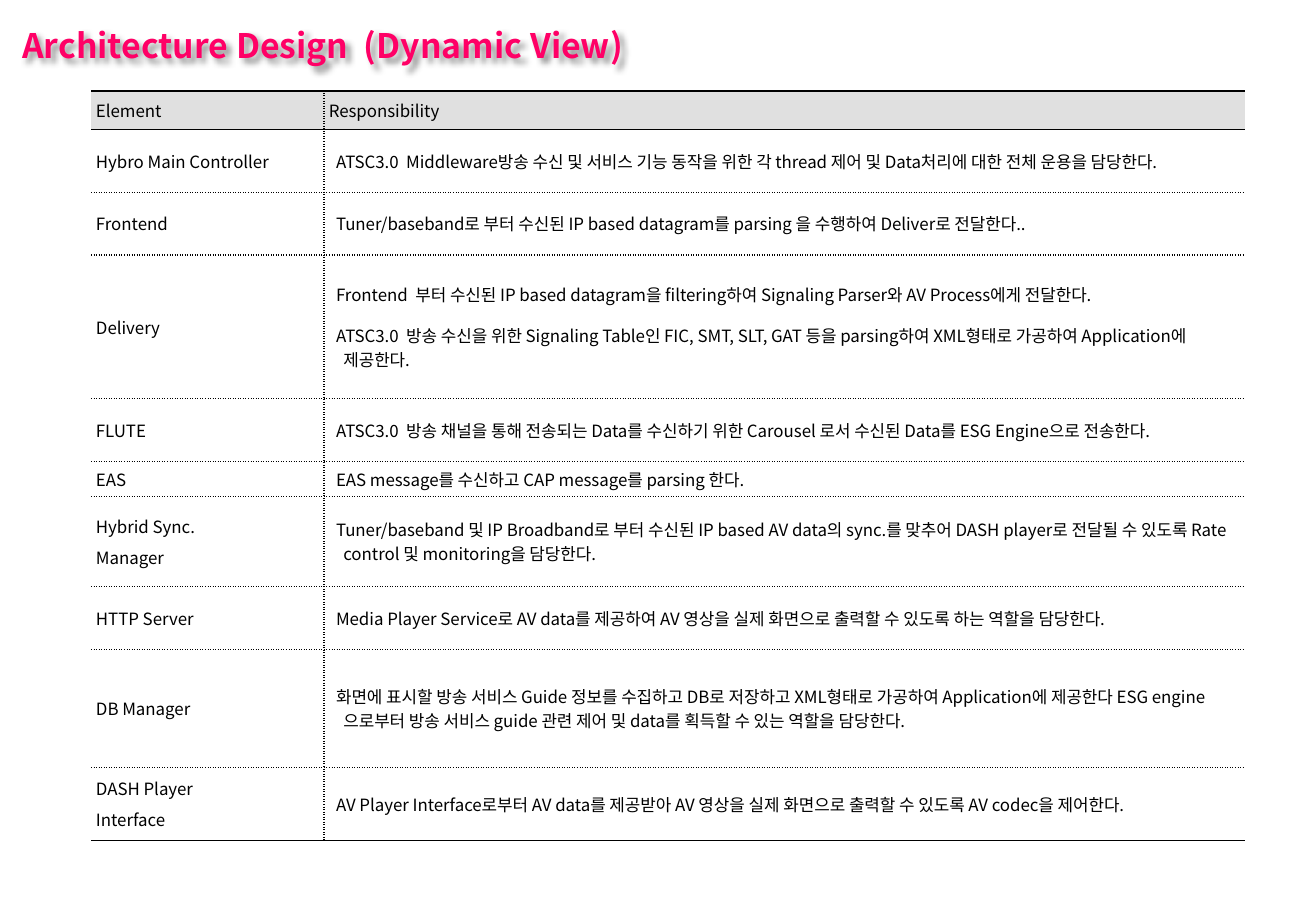
from lxml.etree import SubElement
from pptx import Presentation
from pptx.dml.color import RGBColor
from pptx.enum.text import MSO_ANCHOR as Anchor, MSO_AUTO_SIZE as AutoSize, PP_ALIGN as Align
from pptx.oxml import parse_xml
from pptx.oxml.ns import nsdecls, qn
from pptx.util import Pt

FONT = "Noto Sans CJK KR"
PINK = RGBColor(0xFF, 0x00, 0x66)
BLACK = RGBColor(0x00, 0x00, 0x00)
GREY = RGBColor(0xE0, 0xE0, 0xE0)

TITLE = "Architecture Design  (Dynamic View)"
TITLE_BOX = (6, 10.8, 756, 32)
TABLE_BOX = (54, 54, 684, 444.2)
ELEMENT_WIDTH = 138

# Row height, element lines, responsibility paragraphs
ROWS = [
    (22.8, ["Element"], ["Responsibility"]),
    (37.2, ["Hybro Main Controller"],
     ["ATSC3.0  Middleware방송 수신 및 서비스 기능 동작을 위한 각 thread 제어 및 Data처리에 대한 전체 운용을 담당한다."]),
    (37.2, ["Frontend"],
     ["Tuner/baseband로 부터 수신된 IP based datagram를 parsing 을 수행하여 Deliver로 전달한다.."]),
    (85.2, ["Delivery"],
     ["Frontend  부터 수신된 IP based datagram을 filtering하여 Signaling Parser와 AV Process에게 전달한다.",
      "ATSC3.0  방송 수신을 위한 Signaling Table인 FIC, SMT, SLT, GAT 등을 parsing하여 XML형태로 가공하여 "
      "Application에 제공한다."]),
    (37.2, ["FLUTE"],
     ["ATSC3.0  방송 채널을 통해 전송되는 Data를 수신하기 위한 Carousel 로서 수신된 Data를 ESG Engine으로 전송한다."]),
    (20.7, ["EAS"], ["EAS message를 수신하고 CAP message를 parsing 한다."]),
    (53.5, ["Hybrid Sync.", "Manager"],
     ["Tuner/baseband 및 IP Broadband로 부터 수신된 IP based AV data의 sync.를 맞추어 DASH player로 전달될 수 "
      "있도록 Rate control 및 monitoring을 담당한다."]),
    (37.2, ["HTTP Server"],
     ["Media Player Service로 AV data를 제공하여 AV 영상을 실제 화면으로 출력할 수 있도록 하는 역할을 담당한다."]),
    (70, ["DB Manager"],
     ["화면에 표시할 방송 서비스 Guide 정보를 수집하고 DB로 저장하고 XML형태로 가공하여 Application에 제공한다 "
      "ESG engine 으로부터 방송 서비스 guide 관련 제어 및 data를 획득할 수 있는 역할을 담당한다."]),
    (43.2, ["DASH Player", "Interface"],
     ["AV Player Interface로부터 AV data를 제공받아 AV 영상을 실제 화면으로 출력할 수 있도록 AV codec을 제어한다."]),
]


def add_run(para, text, size, color, bold=False):
    span = para.add_run()
    span.text = text
    font = span.font
    font.name, font.size, font.bold = FONT, Pt(size), bold
    font.color.rgb = color
    SubElement(font._element, qn("a:ea"), typeface=FONT)


def add_title(slide, box):
    title = slide.shapes.title
    title.left, title.top, title.width, title.height = map(Pt, box)
    frame = title.text_frame
    frame.word_wrap = True
    frame.auto_size = AutoSize.NONE
    frame.vertical_anchor = Anchor.MIDDLE
    frame.margin_left = frame.margin_right = Pt(7.2)
    frame.margin_top = frame.margin_bottom = Pt(3.6)
    para = frame.paragraphs[0]
    para.alignment = Align.LEFT
    para.space_before = Pt(0)
    para.line_spacing = 1.0
    add_run(para, TITLE, 20, PINK, bold=True)
    title._element.spPr.append(parse_xml(
        f'<a:effectLst {nsdecls("a")}><a:outerShdw blurRad="38100" dist="38100" dir="2700000" algn="tl">'
        '<a:srgbClr val="000000"><a:alpha val="43000"/></a:srgbClr></a:outerShdw></a:effectLst>'))


def set_borders(cell, **dashes):
    """Draw the named sides (L, R, T, B) with the given dash; clear the others."""
    for position, side in enumerate("LRTB"):
        if side in dashes:
            paint = (f'<a:solidFill><a:srgbClr val="{BLACK}"/></a:solidFill>'
                     f'<a:prstDash val="{dashes[side]}"/>')
        else:
            paint = "<a:noFill/>"
        line = parse_xml(f'<a:ln{side} {nsdecls("a")} w="{Pt(1)}">{paint}</a:ln{side}>')
        cell._tc.get_or_add_tcPr().insert(position, line)


def fill_cell(cell, lines, left, hanging, spacing):
    cell.vertical_anchor = Anchor.MIDDLE
    cell.margin_left = cell.margin_right = 0
    cell.margin_top = cell.margin_bottom = Pt(1.44)
    frame = cell.text_frame
    for index, text in enumerate(lines):
        para = frame.add_paragraph() if index else frame.paragraphs[0]
        para.space_before = para.space_after = Pt(spacing)
        properties = para._p.get_or_add_pPr()
        properties.set("marL", str(Pt(left)))
        properties.set("indent", str(Pt(-hanging)))
        add_run(para, text, 10, BLACK)


def add_element_table(slide, box):
    left, top, width, height = map(Pt, box)
    table = slide.shapes.add_table(len(ROWS), 2, left, top, width, height).table
    table.first_row = table.horz_banding = False
    table.columns[0].width = Pt(ELEMENT_WIDTH)
    table.columns[1].width = width - Pt(ELEMENT_WIDTH)
    last = len(ROWS) - 1
    for index, (row_height, element, responsibility) in enumerate(ROWS):
        table.rows[index].height = Pt(row_height)
        header = index == 0
        above = "solid" if index <= 1 else "sysDot"
        below = "solid" if index in (0, last) else "sysDot"
        for column, (lines, inner) in enumerate([(element, "R"), (responsibility, "L")]):
            cell = table.cell(index, column)
            if header:
                cell.fill.solid()
                cell.fill.fore_color.rgb = GREY
            else:
                cell.fill.background()
            if header or column == 0:
                fill_cell(cell, lines, left=2.9, hanging=0, spacing=1.8)
            else:
                fill_cell(cell, lines, left=11.5, hanging=4.3, spacing=5)
            set_borders(cell, T=above, B=below, **{inner: "sysDot"})


def main():
    deck = Presentation()
    deck.slide_width, deck.slide_height = Pt(780), Pt(540)
    slide = deck.slides.add_slide(deck.slide_layouts[5])
    add_title(slide, TITLE_BOX)
    add_element_table(slide, TABLE_BOX)
    deck.save("out.pptx")


if __name__ == "__main__":
    main()
